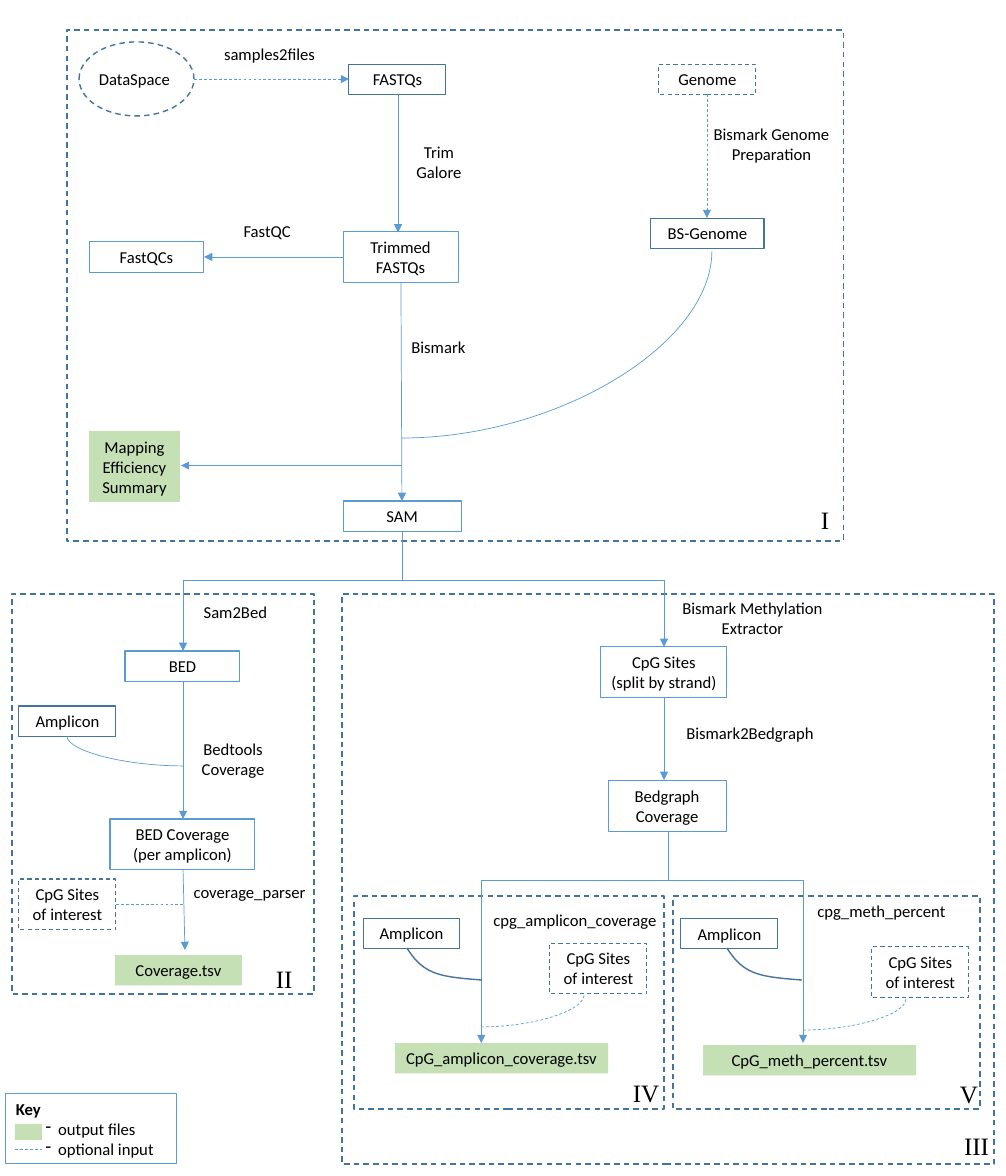
"""Draw the bisulfite sequencing workflow, from raw reads to coverage tables."""
from dataclasses import dataclass
from typing import Optional

from lxml import etree
from pptx import Presentation
from pptx.dml.color import RGBColor
from pptx.enum import dml, shapes, text
from pptx.oxml import ns
from pptx.util import Pt


@dataclass(frozen=True)
class Theme:
    flow: str = "5B9BD5"
    border: str = "43739E"
    output: str = "C5E0B4"
    ink: str = "000000"
    font: str = "Calibri"
    numeral_font: str = "Times New Roman"
    size: float = 12
    numeral_size: float = 18
    hairline: float = 0.5
    thin: float = 0.75
    medium: float = 1


@dataclass(frozen=True)
class Style:
    line: Optional[str] = None
    width: float = 0
    dashed: bool = False
    fill: Optional[str] = None


@dataclass(frozen=True)
class Box:
    words: str
    left: float
    top: float
    width: float
    rows: int = 1
    style: Style = Style()


@dataclass(frozen=True)
class Frame:
    numeral: str
    left: float
    top: float
    width: float
    height: float
    numeral_left: float
    numeral_top: float


@dataclass(frozen=True)
class Link:
    x1: float
    y1: float
    x2: float
    y2: float
    arrow: bool = True
    dashed: bool = False
    preset: str = "line"


THEME = Theme()
STEP = Style(THEME.flow, THEME.thin)
INPUT = Style(THEME.border, THEME.thin)
OPTIONAL = Style(THEME.border, THEME.thin, True)
OUTPUT = Style(fill=THEME.output)
REGION = Style(THEME.border, THEME.medium, True)
CURVE, ELBOW = "curvedConnector2", "bentConnector2"
ROW_HEIGHT, PADDING = 14.6, 7.2

FRAMES = [
    Frame("I", 48.2, 21.6, 559, 368, 584, 359.3),
    Frame("II", 8.6, 427.7, 217.4, 288, 191.5, 689.8),
    Frame("III", 246.2, 427.7, 469.4, 410.4, 687, 810),
    Frame("IV", 254.9, 645.1, 223.2, 153.4, 448.6, 771.8),
    Frame("V", 484.6, 645.1, 221, 153.4, 684, 772.6),
]
BOXES = [
    Box("FASTQs", 251.3, 46.1, 69.8, 1, INPUT),
    Box("Genome", 474.5, 46.1, 69.8, 1, OPTIONAL),
    Box("FastQCs", 64.1, 174.2, 82.8, 1, STEP),
    Box("Trimmed FASTQs", 247, 167, 82.8, 2, STEP),
    Box("BS-Genome", 468.7, 157, 81.4, 1, INPUT),
    Box("Mapping Efficiency Summary", 64.1, 310.3, 65.5, 3, OUTPUT),
    Box("SAM", 247, 360.7, 85, 1, STEP),
    Box("BED", 90, 468.7, 82.8, 1, STEP),
    Box("Amplicon", 13.7, 508.3, 69.8, 1, INPUT),
    Box("BED Coverage (per amplicon)", 79.2, 589.7, 104.4, 2, STEP),
    Box("CpG Sites of interest", 13.7, 632.9, 69.8, 2, OPTIONAL),
    Box("Coverage.tsv", 82.8, 687.6, 91.4, 1, OUTPUT),
    Box("CpG Sites\v(split by strand)", 432.7, 465.8, 90.7, 2, STEP),
    Box("Bedgraph Coverage", 437.8, 562.3, 85, 2, STEP),
    Box("Amplicon", 261.4, 661, 69.8, 1, INPUT),
    Box("CpG Sites of interest", 396, 679, 69.8, 2, OPTIONAL),
    Box("CpG_amplicon_coverage.tsv", 284.4, 751, 153.4, 1, OUTPUT),
    Box("Amplicon", 490.3, 661.3, 69.8, 1, INPUT),
    Box("CpG Sites of interest", 627.8, 681.8, 69.8, 2, OPTIONAL),
    Box("CpG_meth_percent.tsv", 506.2, 752.4, 153.4, 1, OUTPUT),
]
LABELS = [
    Box("DataSpace", 59, 46.1, 75.6),
    Box("samples2files", 153.4, 28.1, 81.4),
    Box("Trim Galore", 288.7, 98.6, 54.7, 2),
    Box("Bismark Genome Preparation", 504, 85.7, 103, 2),
    Box("FastQC", 165, 155.5, 54.7),
    Box("Bismark", 286.7, 239, 58),
    Box("Sam2Bed", 138.2, 429.8, 62.6),
    Box("Bedtools Coverage", 132.5, 528.5, 70.6, 2),
    Box("coverage_parser", 128.2, 631.4, 103),
    Box("Bismark Methylation Extractor", 481.7, 427, 120.2, 2),
    Box("Bismark2Bedgraph", 481.7, 517, 116.6),
    Box("cpg_amplicon_coverage", 341.3, 651.6, 145.4),
    Box("cpg_meth_percent", 576.7, 645.1, 115.9),
]
LINKS = [
    Link(139.7, 56.9, 251.3, 56.9, dashed=True),
    Link(286.6, 67.7, 286.6, 167.4),
    Link(509, 67.7, 509, 157, dashed=True),
    Link(247, 185, 146.9, 185),
    Link(288.7, 203, 289.4, 360.7),
    Link(289.4, 315.4, 512.6, 180.7, False, preset=CURVE),
    Link(289.4, 335.2, 130.3, 335.2),
    Link(131.8, 417.6, 289.4, 382.3, False, preset=ELBOW),
    Link(131.8, 417.6, 131.8, 468.7),
    Link(289.4, 417.6, 478.1, 417.6, False),
    Link(478.1, 417.6, 478.1, 465.8),
    Link(131.8, 491, 131.8, 589.7),
    Link(131.8, 551.5, 48.2, 529.9, False, preset=CURVE),
    Link(131.8, 625.7, 133.2, 684),
    Link(83.5, 650.9, 132.5, 650.9, False, True),
    Link(478.1, 501.8, 478.1, 561.6),
    Link(481, 598.3, 481, 633.8, False),
    Link(346.5, 633.8, 578.2, 633.8, False),
    Link(346.5, 633.8, 346.5, 751),
    Link(578.2, 633.8, 578.2, 751),
    Link(346.5, 739.4, 420.5, 716.4, False, True, CURVE),
    Link(578.2, 741.6, 652.3, 719.3, False, True, CURVE),
    Link(10.8, 827.3, 30.2, 827.3, False, True),
]
AMPLICON_STARTS = [(293, 682.6), (523.4, 682.6)]
AMPLICON_CURVES = [
    ((0, 0), (4.3, 6.5), (9, 13), (18, 17)),
    ((18, 17), (27, 21), (40.5, 22), (54, 23)),
]


def paint(shape, style: Style) -> None:
    """Apply a style's fill and outline and drop the shadow."""
    shape.shadow.inherit = False
    if style.fill:
        shape.fill.solid()
        shape.fill.fore_color.rgb = RGBColor.from_string(style.fill)
    else:
        shape.fill.background()
    if style.line:
        stroke(shape.line, style)
    else:
        shape.line.fill.background()


def stroke(line, style: Style) -> None:
    """Set colour, width and dash of an outline."""
    line.color.rgb = RGBColor.from_string(style.line)
    line.width = Pt(style.width)
    if style.dashed:
        line.dash_style = dml.MSO_LINE.DASH


def write(shape, words: str, align=text.PP_ALIGN.CENTER,
          font: str = THEME.font, size: float = THEME.size) -> None:
    """Write wrapped text, one paragraph for each line of words."""
    frame = shape.text_frame
    frame.text = words
    frame_format = {"word_wrap": True, "vertical_anchor": text.MSO_ANCHOR.MIDDLE,
                    "auto_size": text.MSO_AUTO_SIZE.SHAPE_TO_FIT_TEXT}
    for name, value in frame_format.items():
        setattr(frame, name, value)
    for paragraph in frame.paragraphs:
        paragraph.alignment = align
        for run in paragraph.runs:
            for name, value in {"name": font, "size": Pt(size)}.items():
                setattr(run.font, name, value)
            run.font.color.rgb = RGBColor.from_string(THEME.ink)


def add_preset(slide, preset, left: float, top: float, width: float,
               height: float, style: Style):
    """Add a painted preset shape."""
    shape = slide.shapes.add_shape(preset, *map(Pt, (left, top, width, height)))
    paint(shape, style)
    return shape


def add_box(slide, box: Box):
    """Add a rectangle as tall as its rows of text."""
    height = PADDING + ROW_HEIGHT * box.rows
    shape = add_preset(slide, shapes.MSO_SHAPE.RECTANGLE, box.left, box.top,
                       box.width, height, box.style)
    write(shape, box.words)
    return shape


def add_label(slide, label: Box) -> None:
    """Add a plain text box naming a tool."""
    height = PADDING + ROW_HEIGHT * label.rows
    area = map(Pt, (label.left, label.top, label.width, height))
    write(slide.shapes.add_textbox(*area), label.words)


def add_frame(slide, frame: Frame) -> None:
    """Add a dashed region with its Roman numeral."""
    add_preset(slide, shapes.MSO_SHAPE.RECTANGLE, frame.left, frame.top,
               frame.width, frame.height, REGION)
    area = map(Pt, (frame.numeral_left, frame.numeral_top, 37, 29))
    write(slide.shapes.add_textbox(*area), frame.numeral, text.PP_ALIGN.LEFT,
          THEME.numeral_font, THEME.numeral_size)


def add_link(slide, link: Link) -> None:
    """Add a connector, leaving bent and curved ones horizontally."""
    ends = map(Pt, (link.x1, link.y1, link.x2, link.y2))
    connector = slide.shapes.add_connector(shapes.MSO_CONNECTOR.STRAIGHT, *ends)
    stroke(connector.line, Style(THEME.flow, THEME.hairline, link.dashed))
    properties = connector._element.spPr
    properties.find(ns.qn("a:prstGeom")).set("prst", link.preset)
    if link.arrow:
        outline = properties.find(ns.qn("a:ln"))
        etree.SubElement(outline, ns.qn("a:tailEnd"), type="triangle")
    etree.SubElement(properties, ns.qn("a:effectLst"))


def add_amplicon_curve(slide, left: float, top: float, steps: int = 12) -> None:
    """Trace the curve from an amplicon box to its flow line."""
    points = []
    for curve in AMPLICON_CURVES:
        for step in range(1, steps + 1):
            t = step / steps
            weights = ((1 - t) ** 3, 3 * t * (1 - t) ** 2, 3 * t * t * (1 - t), t ** 3)
            x, y = (sum(w * v for w, v in zip(weights, axis)) for axis in zip(*curve))
            points.append((Pt(left + x), Pt(top + y)))
    builder = slide.shapes.build_freeform(Pt(left), Pt(top))
    builder.add_line_segments(points, close=False)
    paint(builder.convert_to_shape(), Style(THEME.border, THEME.medium))


def add_key(slide) -> None:
    """Add the key with its bold title and dashed list."""
    key = add_box(slide, Box("", 4.3, 787, 123.1, 3, STEP))
    write(key, "Key\noutput files\noptional input", text.PP_ALIGN.LEFT)
    title, *entries = key.text_frame.paragraphs
    title.runs[0].font.bold = True
    for entry in entries:
        properties = entry._p.get_or_add_pPr()
        properties.set("marL", str(Pt(30.5)))
        properties.set("indent", str(-Pt(9)))
        etree.SubElement(properties, ns.qn("a:buChar"), char="-")
    add_preset(slide, shapes.MSO_SHAPE.RECTANGLE, 10.8, 809.3, 19.4, 11.5, OUTPUT)


def build() -> None:
    """Lay out the workflow and save it."""
    deck = Presentation()
    deck.slide_width, deck.slide_height = Pt(724.32), Pt(846.72)
    slide = deck.slides.add_slide(deck.slide_layouts[6])
    for frame in FRAMES:
        add_frame(slide, frame)
    add_preset(slide, shapes.MSO_SHAPE.OVAL, 56.9, 30.2, 82.8, 53.3, REGION)
    for box in BOXES:
        add_box(slide, box)
    add_key(slide)
    for link in LINKS:
        add_link(slide, link)
    for start in AMPLICON_STARTS:
        add_amplicon_curve(slide, *start)
    for label in LABELS:
        add_label(slide, label)
    deck.save("out.pptx")


build()
